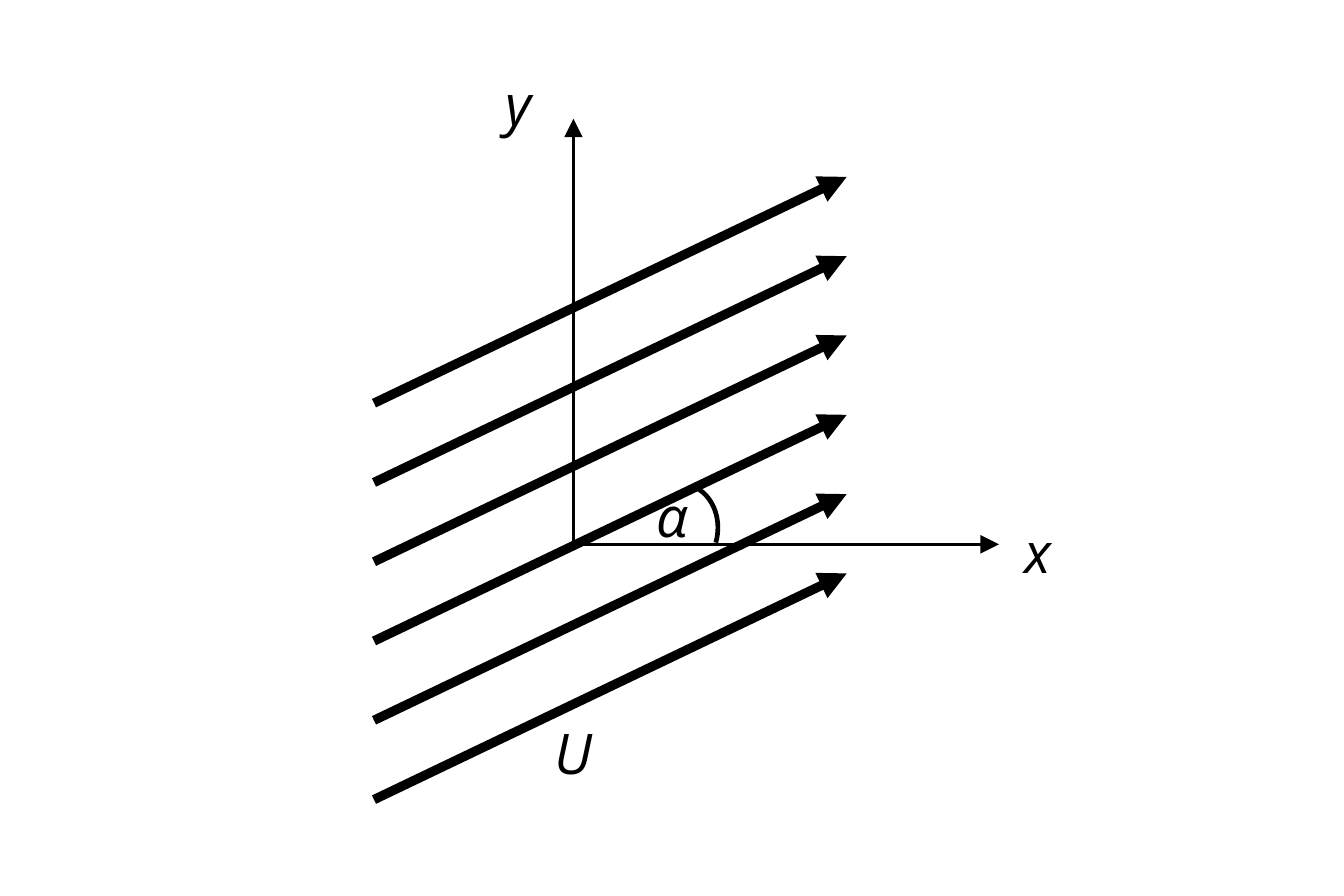
"""Draw a uniform flow U inclined at an angle alpha to the x axis."""
from typing import NamedTuple

from lxml.etree import SubElement
from pptx import Presentation
from pptx.dml.color import RGBColor
from pptx.dml.line import LineFormat
from pptx.enum.shapes import MSO_CONNECTOR, MSO_SHAPE
from pptx.enum.text import MSO_AUTO_SIZE, PP_ALIGN
from pptx.oxml.ns import qn
from pptx.slide import Slide
from pptx.util import Inches, Pt

BLACK = "000000"
FONT = "Open Sans"
ORIGIN_X, ORIGIN_Y = 2.56, 2.43
AXIS_LENGTH = 1.9
STREAM_COUNT = 6
STREAM_LEFT, STREAM_RIGHT = 1.67, 3.78
STREAM_FIRST_Y, STREAM_LAST_Y = 1.8, 3.57
STREAM_RISE = 1.01
STREAM_GAP = (STREAM_LAST_Y - STREAM_FIRST_Y) / (STREAM_COUNT - 1)


class Arrow(NamedTuple):
    """Start and end in inches, line width in points."""
    start_x: float
    start_y: float
    end_x: float
    end_y: float
    width: float


class Label(NamedTuple):
    """Text with its left, top and width in inches."""
    text: str
    left: float
    top: float
    width: float


AXES = [
    Arrow(ORIGIN_X, ORIGIN_Y, ORIGIN_X, ORIGIN_Y - AXIS_LENGTH, 1),
    Arrow(ORIGIN_X, ORIGIN_Y, ORIGIN_X + AXIS_LENGTH, ORIGIN_Y, 1),
]
STREAMLINES = [
    Arrow(STREAM_LEFT, y, STREAM_RIGHT, y - STREAM_RISE, 3)
    for y in (STREAM_FIRST_Y + row * STREAM_GAP for row in range(STREAM_COUNT))
]
LABELS = [
    Label("y", 2.14, 0.26, 0.33),
    Label("x", 4.47, 2.26, 0.32),
    Label("α", 2.83, 2.1, 0.34),
    Label("U", 2.38, 3.16, 0.36),
]


def color(value: str) -> RGBColor:
    """Turn a hex string into a colour."""
    return RGBColor.from_string(value)


def style_line(line: LineFormat, width: float) -> None:
    """Make a line solid black with the given width."""
    line.color.rgb = color(BLACK)
    line.width = Pt(width)


def draw_arrow(slide: Slide, arrow: Arrow) -> None:
    """Draw a straight line with a triangular head at its end."""
    connector = slide.shapes.add_connector(
        MSO_CONNECTOR.STRAIGHT,
        Inches(arrow.start_x), Inches(arrow.start_y),
        Inches(arrow.end_x), Inches(arrow.end_y),
    )
    style_line(connector.line, arrow.width)
    properties = connector._element.spPr
    SubElement(properties.find(qn("a:ln")), qn("a:tailEnd"), type="triangle")
    SubElement(properties, qn("a:effectLst"))


def draw_label(slide: Slide, label: Label) -> None:
    """Write an italic symbol."""
    text_box = slide.shapes.add_textbox(
        Inches(label.left), Inches(label.top), Inches(label.width), Inches(0.4)
    )
    text_frame = text_box.text_frame
    text_frame.word_wrap = False
    text_frame.auto_size = MSO_AUTO_SIZE.SHAPE_TO_FIT_TEXT
    text_frame.text = label.text
    paragraph = text_frame.paragraphs[0]
    paragraph.alignment = PP_ALIGN.RIGHT
    font = paragraph.runs[0].font
    font.name = FONT
    font.size = Pt(18)
    font.italic = True
    font.color.rgb = color(BLACK)


def draw_angle(slide: Slide) -> None:
    """Draw the arc that marks the angle alpha."""
    arc = slide.shapes.add_shape(
        MSO_SHAPE.ARC, Inches(2.8), Inches(2.15), Inches(0.4), Inches(0.46)
    )
    arc.adjustments[0] = 162
    arc.adjustments[1] = 208.4
    arc.rotation = 25
    arc.shadow.inherit = False
    arc.fill.background()
    style_line(arc.line, 1.5)


def main() -> None:
    """Build and save the slide."""
    presentation = Presentation()
    presentation.slide_width = Inches(6)
    presentation.slide_height = Inches(4)
    slide = presentation.slides.add_slide(presentation.slide_layouts[6])
    for arrow in AXES + STREAMLINES:
        draw_arrow(slide, arrow)
    for label in LABELS:
        draw_label(slide, label)
    draw_angle(slide)
    presentation.save("out.pptx")


main()
